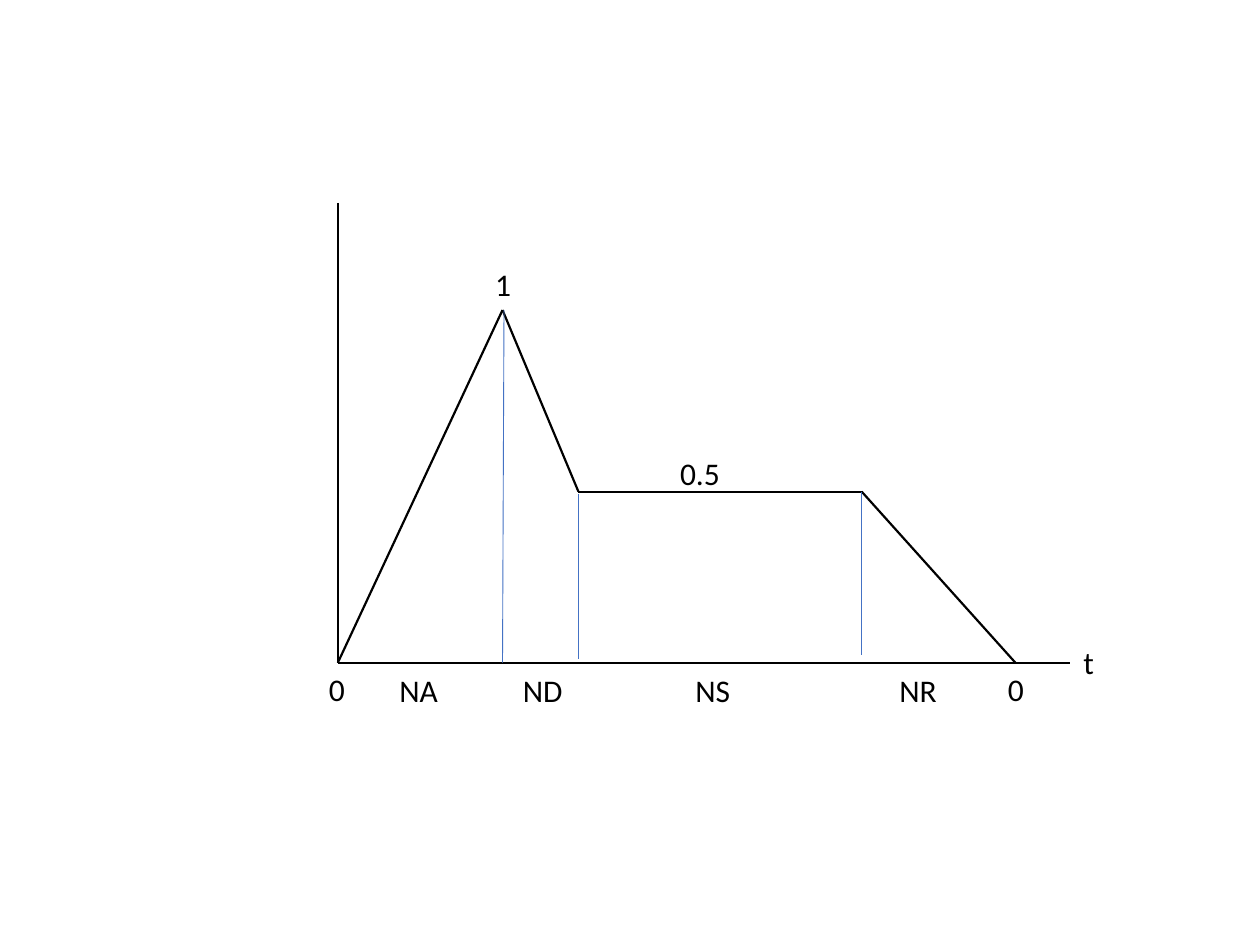
from itertools import pairwise
from typing import NamedTuple

from lxml import etree
from pptx import Presentation
from pptx import util as u
from pptx.dml.color import RGBColor
from pptx.enum import shapes, text
from pptx.oxml.ns import qn

BLACK = "000000"
BLUE = "4472C4"


class Point(NamedTuple):
    """A position in centimetres."""
    x: float
    y: float


class Label(NamedTuple):
    words: str
    left: float
    top: float
    width: float


BASE = 13.36
ORIGIN = Point(6.81, BASE)
PEAK = Point(10.13, 6.25)
SUSTAIN_START = Point(11.66, 9.91)
SUSTAIN_END = Point(17.37, 9.91)
RELEASE_END = Point(20.47, BASE)
ENVELOPE = [ORIGIN, PEAK, SUSTAIN_START, SUSTAIN_END, RELEASE_END]
AXES = [Point(6.81, 4.09), ORIGIN, Point(21.56, BASE)]
PHASE_MARKERS = [
    (Point(10.16, PEAK.y), Point(PEAK.x, BASE)),
    (Point(SUSTAIN_START.x, 9.96), Point(SUSTAIN_START.x, 13.28)),
    (SUSTAIN_END, Point(SUSTAIN_END.x, 13.21)),
]

LABEL_HEIGHT = 1.02
TICK_TOP = 13.39
PHASE_TOP = 13.41
LEVEL_LABELS = [
    Label("0", 6.38, TICK_TOP, 0.84),
    Label("1", 9.73, 5.21, 0.84),
    Label("0.5", 13.46, 9.02, 1.32),
    Label("0", 20.07, TICK_TOP, 0.84),
]
AXIS_LABELS = [
    Label("NA", 7.8, PHASE_TOP, 1.3),
    Label("ND", 10.29, PHASE_TOP, 1.32),
    Label("NS", 13.77, PHASE_TOP, 1.22),
    Label("NR", 17.88, PHASE_TOP, 1.27),
    Label("t", 21.59, 12.83, 0.74),
]


def color(hex_value: str) -> RGBColor:
    return RGBColor.from_string(hex_value)


def draw_line(slide, start: Point, end: Point, hex_value: str, weight: float) -> None:
    line = slide.shapes.add_connector(
        shapes.MSO_CONNECTOR.STRAIGHT,
        u.Cm(start.x), u.Cm(start.y), u.Cm(end.x), u.Cm(end.y))
    line.line.color.rgb = color(hex_value)
    line.line.width = u.Pt(weight)
    etree.SubElement(line._element.spPr, qn("a:effectLst"))


def draw_path(slide, points: list[Point]) -> None:
    for start, end in pairwise(points):
        draw_line(slide, start, end, BLACK, 1.25)


def draw_label(slide, label: Label) -> None:
    box = slide.shapes.add_textbox(
        u.Cm(label.left), u.Cm(label.top), u.Cm(label.width), u.Cm(LABEL_HEIGHT))
    frame = box.text_frame
    frame.text = label.words
    frame.word_wrap = False
    frame.auto_size = text.MSO_AUTO_SIZE.SHAPE_TO_FIT_TEXT
    font = frame.paragraphs[0].runs[0].font
    font.name = "Calibri"
    font.size = u.Pt(18)
    font.color.rgb = color(BLACK)


def main() -> None:
    deck = Presentation()
    deck.slide_width, deck.slide_height = u.Cm(25.4), u.Cm(19.05)
    slide = deck.slides.add_slide(deck.slide_layouts.get_by_name("Blank"))

    draw_path(slide, AXES)
    draw_path(slide, ENVELOPE)
    for label in LEVEL_LABELS:
        draw_label(slide, label)
    for start, end in PHASE_MARKERS:
        draw_line(slide, start, end, BLUE, 0.5)
    for label in AXIS_LABELS:
        draw_label(slide, label)

    deck.save("out.pptx")


if __name__ == "__main__":
    main()
